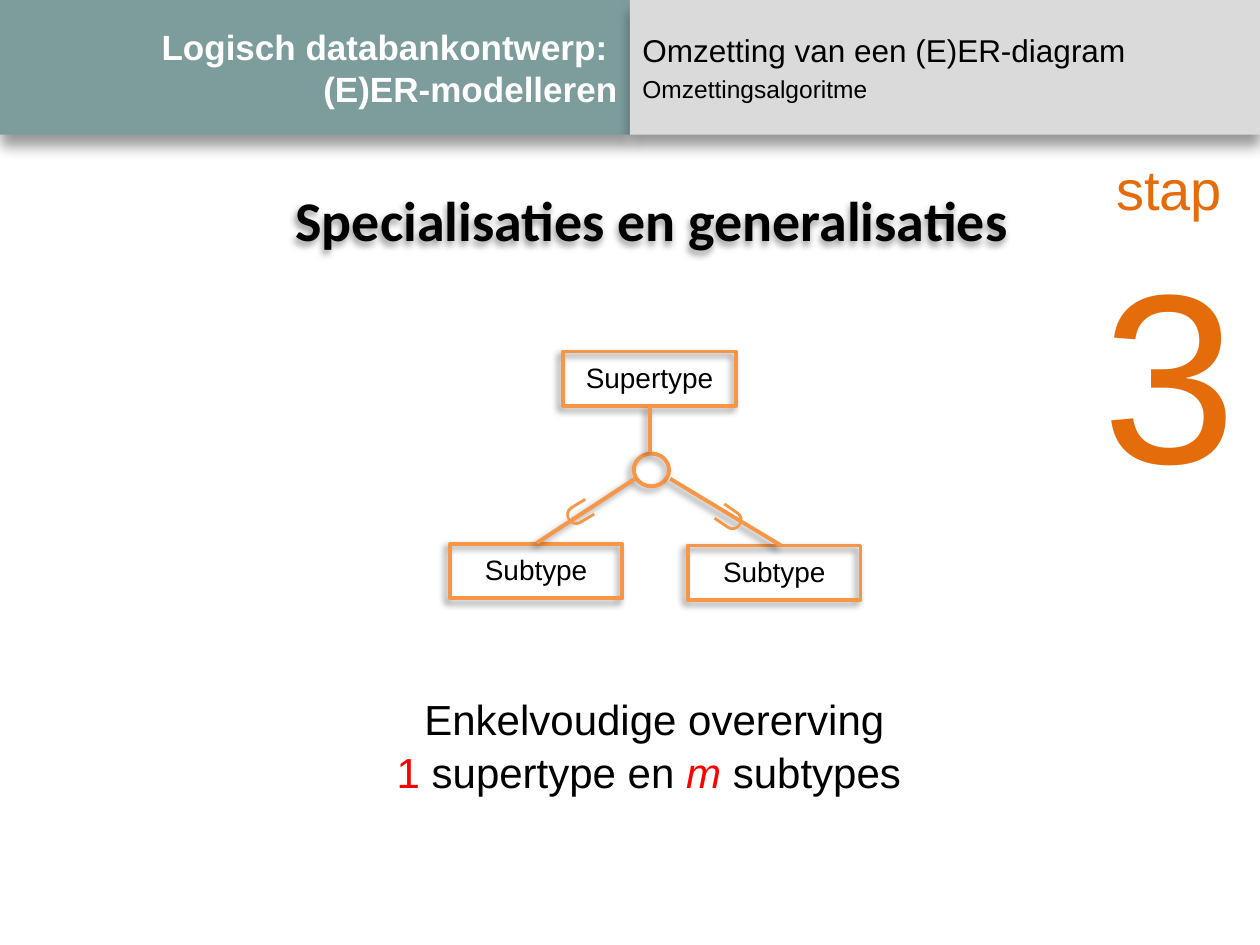
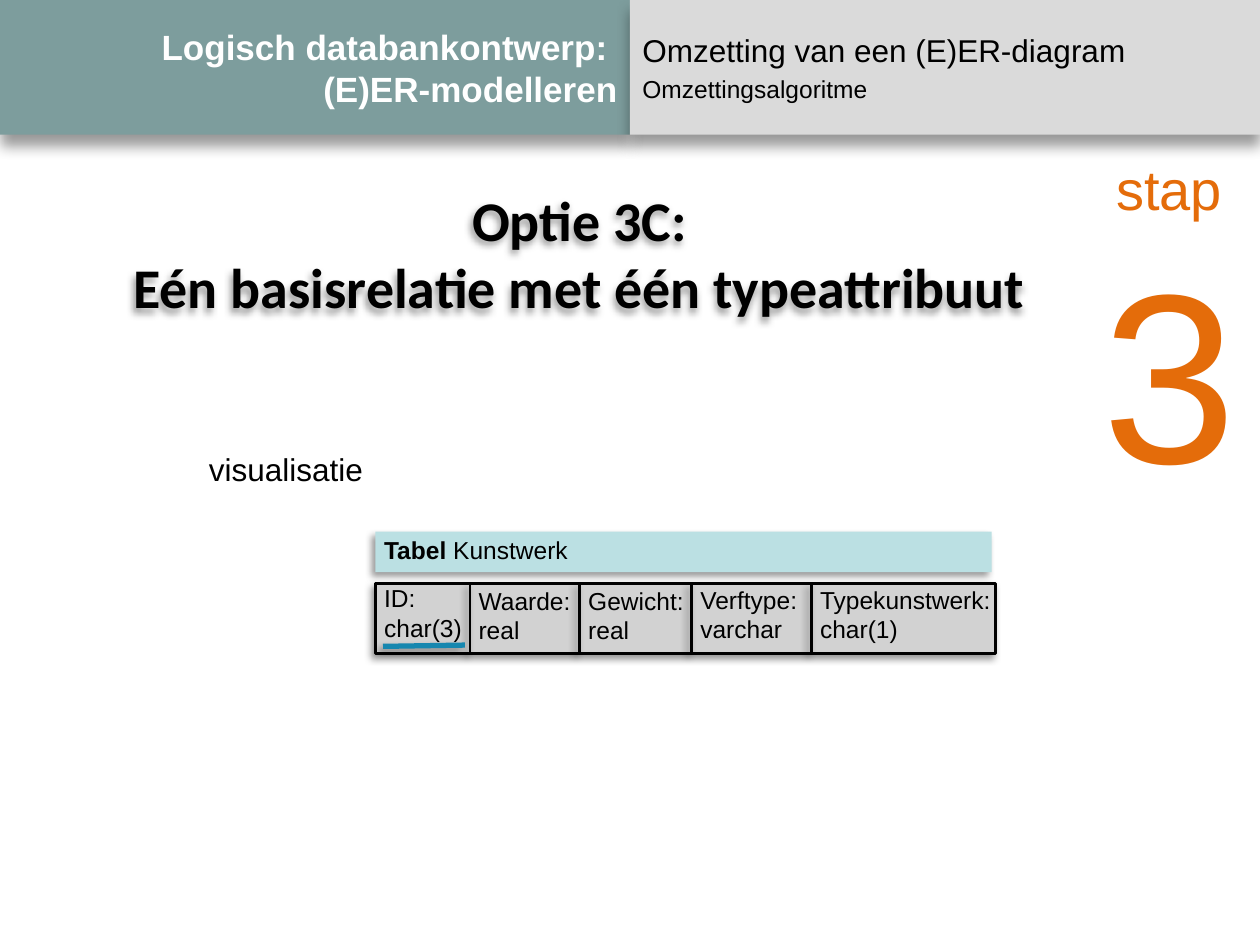
"""Build two slides on mapping specialisations in an (E)ER diagram to relations."""
from typing import NamedTuple, Optional

from lxml.etree import SubElement
from pptx import Presentation
from pptx.dml.color import RGBColor
from pptx.enum.shapes import MSO_CONNECTOR, MSO_SHAPE
from pptx.enum.text import MSO_ANCHOR, MSO_AUTO_SIZE, PP_ALIGN
from pptx.oxml.ns import qn
from pptx.slide import Slide
from pptx.util import Inches, Pt

COLORS = {
    "teal": "7D9D9D", "band": "DADADA", "step": "E46C0A", "diagram": "F79646",
    "caption": "BBE0E3", "cell": "D2D2D2", "key": "1687AF",
    "red": "FF0000", "white": "FFFFFF", "black": "000000",
}


class Area(NamedTuple):
    left: float
    top: float
    width: float
    height: float


class Span(NamedTuple):
    text: str
    color: Optional[str] = None
    bold: Optional[bool] = None
    italic: Optional[bool] = None


class Para(NamedTuple):
    spans: list[Span]
    size: float
    color: str = "black"
    bold: bool = False
    align: PP_ALIGN = PP_ALIGN.LEFT
    before: float = 0
    indent: float = 0
    font: str = "Arial"


class Shadow(NamedTuple):
    blur: float
    distance: float
    angle: int


class Entity(NamedTuple):
    name: str
    left: float
    top: float
    label_width: float


class Column(NamedTuple):
    name: str
    kind: str
    divider: float
    top: float
    width: float


BAND_SHADOW = Shadow(8, 6, 90)
SOFT_SHADOW = Shadow(4, 3, 135)
ENTITY_WIDTH, ENTITY_HEIGHT = 1.37, 0.43
ENTITIES = [
    Entity("Supertype", 4.47, 2.79, 1.22),
    Entity("Subtype", 5.46, 4.33, 1.02),
    Entity("Subtype", 3.57, 4.32, 1.02),
]
LINKS = [
    ((5.16, 3.59), (5.16, 3.22)),
    ((4.26, 4.31), (5.04, 3.8)),
    ((5.32, 3.8), (6.2, 4.33)),
]
SUBSET_SIGNS = [(Area(4.4, 3.82, 0.46, 0.5), 58.9), (Area(5.55, 3.84, 0.46, 0.5), 304.4)]
COLUMNS = [
    Column("ID:", "char(3)", 2.98, 4.58, 0.85),
    Column("Waarde:", "real", 3.73, 4.6, 0.95),
    Column("Gewicht:", "real", 4.6, 4.6, 0.98),
    Column("Verftype:", "varchar", 5.49, 4.59, 1),
    Column("Typekunstwerk:", "char(1)", 6.44, 4.59, 1.58),
]


def rgb(name: str) -> RGBColor:
    """Return a named colour."""
    return RGBColor.from_string(COLORS[name])


def plain(text: str, size: float, **style) -> Para:
    """Describe a paragraph made of one span."""
    return Para([Span(text)], size, **style)


def cast_shadow(item, shadow: Shadow) -> None:
    """Give a shape, text box or connector an outer shadow."""
    effects = SubElement(item._element.spPr, qn("a:effectLst"))
    outer = SubElement(effects, qn("a:outerShdw"), blurRad=str(Pt(shadow.blur)),
                       dist=str(Pt(shadow.distance)), dir=str(shadow.angle * 60000),
                       algn="ctr", rotWithShape="0")
    color = SubElement(outer, qn("a:srgbClr"), val=COLORS["black"])
    SubElement(color, qn("a:alpha"), val="40000")


def write(frame, paras: list[Para]) -> None:
    """Fill a text frame with paragraphs."""
    for index, item in enumerate(paras):
        para = frame.add_paragraph() if index else frame.paragraphs[0]
        if item.indent:
            para._p.get_or_add_pPr().set("marL", str(Inches(item.indent)))
        para.alignment = item.align
        para.space_before = Pt(item.before)
        para.font.name, para.font.size, para.font.bold = item.font, Pt(item.size), item.bold
        para.font.color.rgb = rgb(item.color)
        for part in item.spans:
            span = para.add_run()
            span.text = part.text
            span.font.bold, span.font.italic = part.bold, part.italic
            if part.color:
                span.font.color.rgb = rgb(part.color)


def add_text(page: Slide, area: Area, paras: list[Para]):
    """Add a text box that fits its unwrapped text."""
    box = page.shapes.add_textbox(*map(Inches, area))
    box.text_frame.word_wrap = False
    box.text_frame.auto_size = MSO_AUTO_SIZE.SHAPE_TO_FIT_TEXT
    write(box.text_frame, paras)
    return box


def add_box(page: Slide, area: Area, shadow: Shadow, fill: Optional[str] = None,
            line: Optional[str] = None, weight: float = 1.5, kind=MSO_SHAPE.RECTANGLE):
    """Add a preset shape with a shadow."""
    box = page.shapes.add_shape(kind, *map(Inches, area))
    if fill:
        box.fill.solid()
        box.fill.fore_color.rgb = rgb(fill)
    else:
        box.fill.background()
    if line:
        box.line.color.rgb = rgb(line)
        box.line.width = Pt(weight)
    else:
        box.line.fill.background()
    cast_shadow(box, shadow)
    return box


def add_line(page: Slide, start: tuple, end: tuple, color: str, weight: float) -> None:
    """Add a straight line with a soft shadow."""
    line = page.shapes.add_connector(MSO_CONNECTOR.STRAIGHT, *map(Inches, (*start, *end)))
    line.line.color.rgb = rgb(color)
    line.line.width = Pt(weight)
    cast_shadow(line, SOFT_SHADOW)


def add_page(deck, title_area: Area, title_lines: list[str]) -> Slide:
    """Add a slide with the header bands, step number and title."""
    page = deck.slides.add_slide(deck.slide_layouts[6])
    subject = add_box(page, Area(0, 0, 5, 1.07), BAND_SHADOW, "teal")
    write(subject.text_frame, [
        plain(text, 20, color="white", bold=True, align=PP_ALIGN.RIGHT)
        for text in ("Logisch databankontwerp: ", "(E)ER-modelleren")])
    topic = add_box(page, Area(5, 0, 5, 1.07), BAND_SHADOW, "band")
    write(topic.text_frame, [plain("Omzetting van een (E)ER-diagram", 18),
                             plain("Omzettingsalgoritme", 14, before=2.8)])
    add_text(page, Area(8.63, 1.18, 1.3, 2.96), [
        plain(text, size, color="step", align=PP_ALIGN.CENTER)
        for text, size in (("stap", 32), ("3", 138))])
    title = add_text(page, title_area, [
        plain(text, 32, bold=True, align=PP_ALIGN.CENTER, font="Calibri")
        for text in title_lines])
    cast_shadow(title, SOFT_SHADOW)
    return page


def add_inheritance_page(deck) -> None:
    """Draw the supertype with its subtypes."""
    page = add_page(deck, Area(2.22, 1.42, 5.91, 0.64), ["Specialisaties en generalisaties"])
    summary = add_text(page, Area(3.05, 5.39, 4.24, 0.98), [
        plain("Enkelvoudige overerving", 24, indent=0.22),
        Para([Span("1", "red"), Span(" supertype en "), Span("m", "red", italic=True),
              Span(" subtypes")], 24, before=1)])
    summary.text_frame.auto_size = MSO_AUTO_SIZE.NONE
    summary.text_frame.vertical_anchor = MSO_ANCHOR.BOTTOM
    for entity in ENTITIES:
        add_box(page, Area(entity.left, entity.top, ENTITY_WIDTH, ENTITY_HEIGHT),
                SOFT_SHADOW, line="diagram", weight=2.25)
        label_left = entity.left + (ENTITY_WIDTH - entity.label_width) / 2
        add_text(page, Area(label_left, entity.top + 0.02, entity.label_width, 0.37),
                 [plain(entity.name, 16, align=PP_ALIGN.CENTER)])
    add_box(page, Area(5.03, 3.6, 0.28, 0.26), SOFT_SHADOW, line="diagram",
            weight=2.25, kind=MSO_SHAPE.OVAL)
    for start, end in LINKS:
        add_line(page, start, end, "diagram", 2.25)
    for area, angle in SUBSET_SIGNS:
        sign = add_text(page, area, [plain("∪", 24, color="diagram", bold=True)])
        sign.rotation = angle


def add_relation_page(deck) -> None:
    """Draw the base relation with its type attribute."""
    page = add_page(deck, Area(0.92, 1.42, 7.36, 1.18),
                    ["Optie 3C:", "Eén basisrelatie met één typeattribuut"])
    add_text(page, Area(1.56, 3.52, 1.42, 0.4), [plain("visualisatie", 18)])
    add_box(page, Area(2.98, 4.22, 4.89, 0.32), SOFT_SHADOW, "caption")
    add_text(page, Area(2.95, 4.2, 1.67, 0.33),
             [Para([Span("Tabel ", bold=True), Span("Kunstwerk")], 14)])
    add_box(page, Area(2.98, 4.63, 4.92, 0.56), SOFT_SHADOW, "cell", "black")
    for index, column in enumerate(COLUMNS):
        add_text(page, Area(column.divider - 0.03, column.top, column.width, 0.57),
                 [plain(column.name, 14), plain(column.kind, 14)])
        if index:
            add_line(page, (column.divider, 4.63), (column.divider, 5.19), "black", 1.5)
    add_line(page, (3.04, 5.13), (3.69, 5.12), "key", 3)


def main() -> None:
    """Build and save the deck."""
    deck = Presentation()
    deck.slide_width, deck.slide_height = Inches(10), Inches(7.5)
    add_inheritance_page(deck)
    add_relation_page(deck)
    deck.save("out.pptx")


if __name__ == "__main__":
    main()
